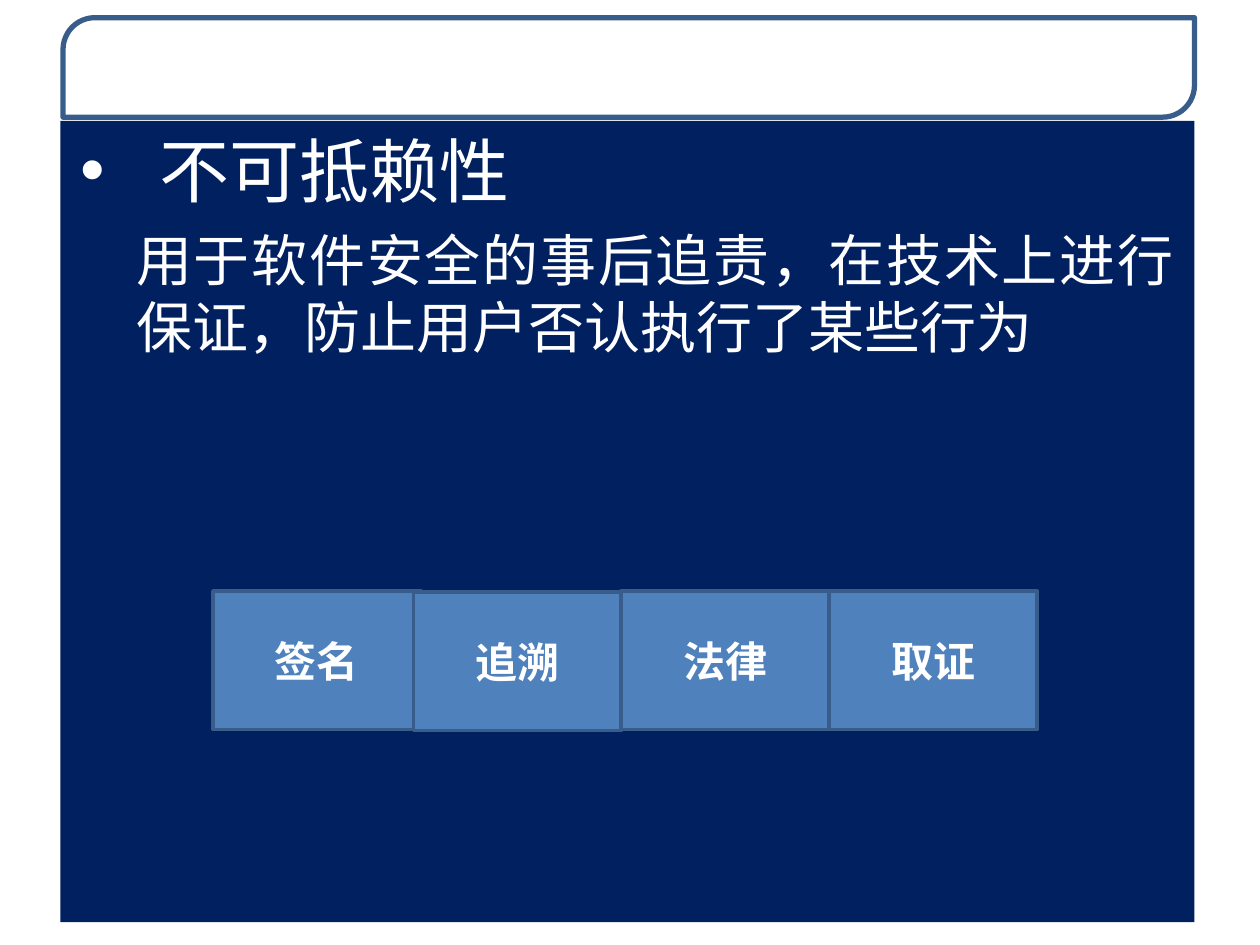
from lxml import etree
from pptx import Presentation
from pptx.dml.color import RGBColor
from pptx.enum.shapes import MSO_SHAPE
from pptx.enum.text import MSO_ANCHOR, PP_ALIGN
from pptx.oxml.ns import qn
from pptx.util import Inches, Pt

RECT = MSO_SHAPE.RECTANGLE
HEADER = MSO_SHAPE.ROUND_2_DIAG_RECTANGLE
TOP, MIDDLE = MSO_ANCHOR.TOP, MSO_ANCHOR.MIDDLE
CENTER, JUSTIFY = PP_ALIGN.CENTER, PP_ALIGN.JUSTIFY
CJK = "Noto Sans CJK SC"
WHITE, NAVY, BLUE, EDGE = "FFFFFF", "002060", "4F81BD", "385D8A"


def color(value):
    return RGBColor.from_string(value)


def add_box(s, kind, left, top, width, height, fill, line_width=0):
    sp = s.shapes.add_shape(kind, Inches(left), Inches(top), Inches(width), Inches(height))
    sp.shadow.inherit = False
    sp.fill.solid()
    sp.fill.fore_color.rgb = color(fill)
    if line_width:
        sp.line.color.rgb = color(EDGE)
        sp.line.width = Pt(line_width)
    else:
        sp.line.fill.background()
    return sp


def set_frame(sp, anchor, margin):
    tf = sp.text_frame
    tf.word_wrap = True
    tf.vertical_anchor = anchor
    tf.margin_left = tf.margin_right = Inches(margin)
    tf.margin_top = tf.margin_bottom = Inches(0.05)
    return tf


def add_text(p, text, size, font, align, bold=False, left=0, hanging=0, before=0, level=0):
    p.level = level
    p.alignment = align
    p.space_before = Pt(before)
    props = p._p.get_or_add_pPr()
    props.set("marL", str(Inches(left)))
    props.set("indent", str(-Inches(hanging)))
    if hanging:
        bullet_color = etree.SubElement(props, qn("a:buClr"))
        etree.SubElement(bullet_color, qn("a:srgbClr"), val=WHITE)
        etree.SubElement(props, qn("a:buFont"), typeface="Arial")
        etree.SubElement(props, qn("a:buChar"), char="•")
    else:
        etree.SubElement(props, qn("a:buNone"))
    r = p.add_run()
    r.text = text
    r.font.size = Pt(size)
    r.font.bold = bold
    r.font.color.rgb = color(WHITE)
    r.font.name = font
    etree.SubElement(r._r.get_or_add_rPr(), qn("a:ea"), typeface=CJK)


def add_header(s):
    sp = add_box(s, HEADER, 0.5, 0.14, 8.98, 0.79, WHITE, 3)
    sp.adjustments[0] = 0.32
    sp.adjustments[1] = 0
    fill = sp.fill._xPr.find(qn("a:solidFill"))
    etree.SubElement(fill[0], qn("a:alpha"), val="85000")


def add_body(s):
    sp = add_box(s, RECT, 0.48, 0.96, 9, 6.36, NAVY)
    tf = set_frame(sp, TOP, 0.16)
    add_text(tf.paragraphs[0], "不可抵赖性", 40, CJK, JUSTIFY, left=0.63, hanging=0.63)
    add_text(tf.add_paragraph(), "用于软件安全的事后追责，在技术上进行保证，防止用户否认执行了某些行为",
             32, CJK, JUSTIFY, left=0.44, before=8, level=1)


def add_measure(s, label, left, top):
    sp = add_box(s, RECT, left, top, 1.65, 1.1, BLUE, 2)
    tf = set_frame(sp, MIDDLE, 0.1)
    add_text(tf.paragraphs[0], label, 24, "Calibri", CENTER, bold=True)


def main():
    prs = Presentation()
    prs.slide_width, prs.slide_height = Inches(10), Inches(7.5)
    s = prs.slides.add_slide(prs.slide_layouts[6])
    add_header(s)
    add_body(s)
    for label, left, top in (("签名", 1.69, 4.69), ("追溯", 3.28, 4.7),
                             ("法律", 4.93, 4.69), ("取证", 6.58, 4.69)):
        add_measure(s, label, left, top)
    prs.save("out.pptx")


if __name__ == "__main__":
    main()
